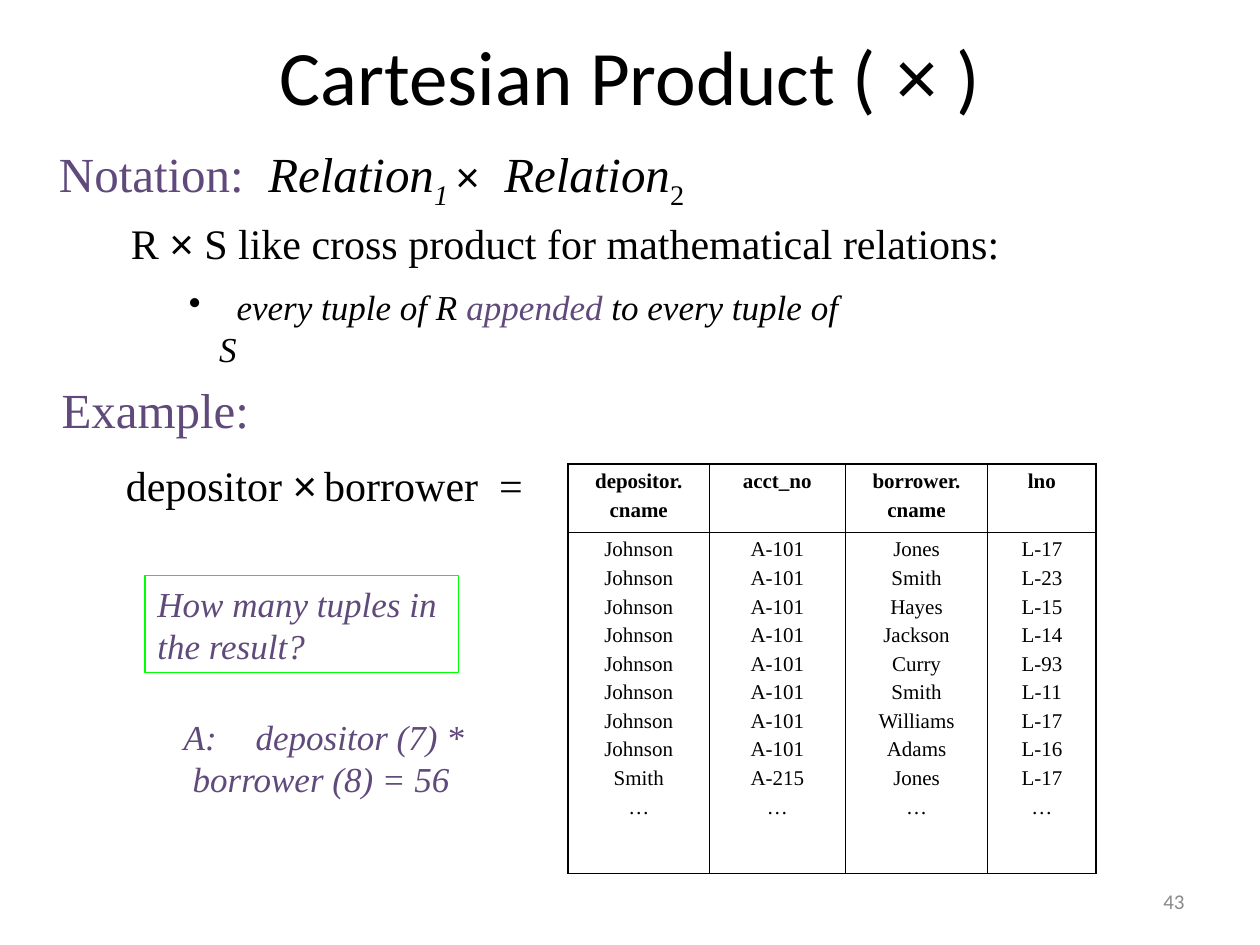
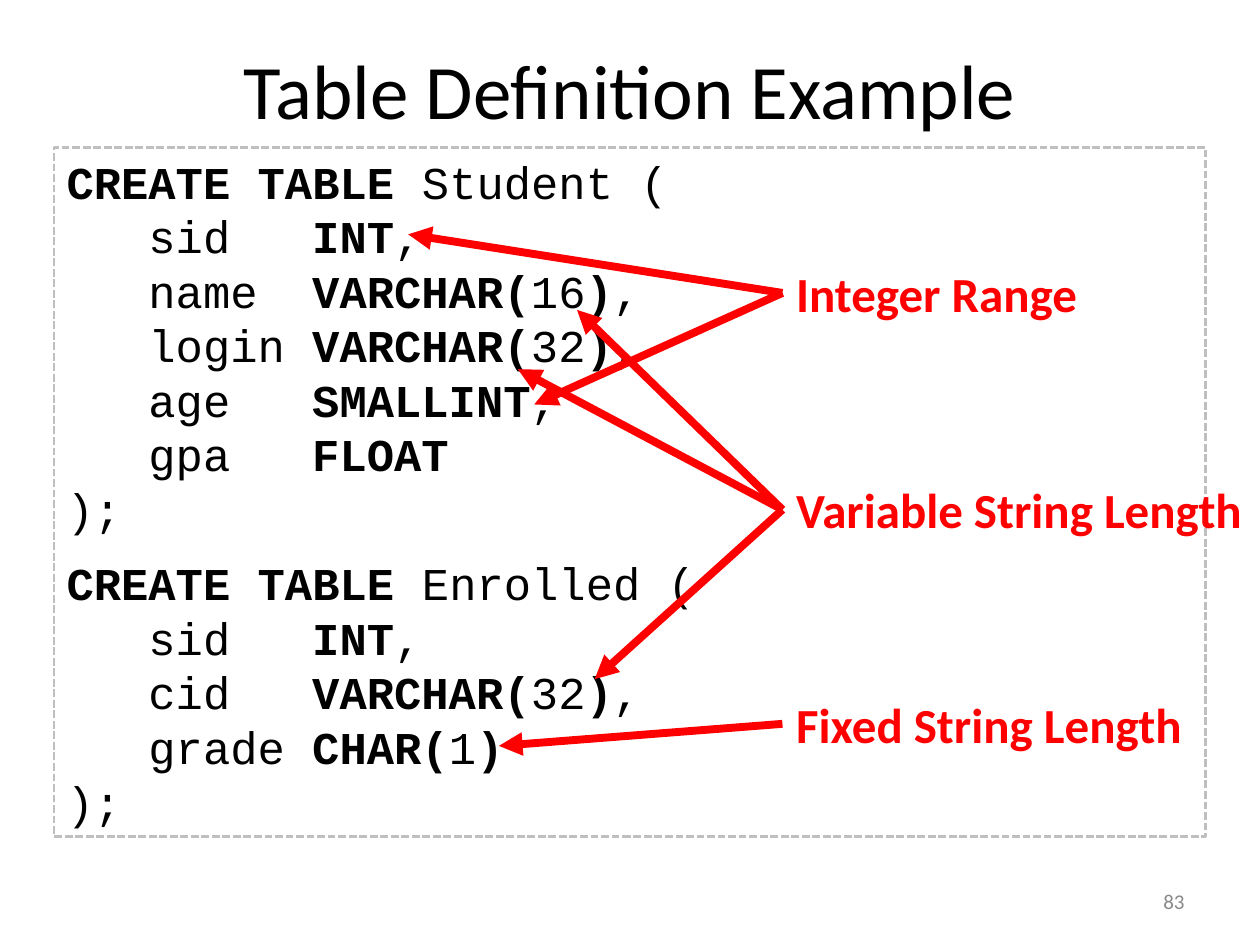
from lxml.etree import SubElement
from pptx import Presentation
from pptx.dml.color import RGBColor
from pptx.enum.dml import MSO_LINE
from pptx.enum.shapes import MSO_CONNECTOR, MSO_SHAPE
from pptx.enum.text import MSO_ANCHOR as ANCHOR, PP_ALIGN as ALIGN
from pptx.oxml.ns import qn
from pptx.util import Inches, Pt

BLACK, PURPLE, RED, GREEN = "000000", "604A7B", "FF0000", "00FF00"
DASH_GRAY, NUMBER_GRAY = "BFBFBF", "898989"
SERIF, SANS, SYMBOL, MONO = "Times New Roman", "Calibri", "Arial", "Courier New"
TITLE_ONLY = 5
TIMES = ("×", {"font": SYMBOL})
ITALIC = {"italic": True}

PRODUCT = {
    "title": ["Cartesian Product ( ", TIMES, " )"],
    "title_box": (0, 0.1, 10, 0.99),
    "number": "43",
}
PRODUCT_TEXTS = [
    ((0.37, 1.1, 5.27, 0.58),
     [("Notation:  ", {"color": PURPLE}), ("Relation", ITALIC),
      ("1 ", {"italic": True, "baseline": -25}), ("×", {"font": SYMBOL, "size": 24}),
      "  ", ("Relation", ITALIC), ("2", {"baseline": -25})],
     {"size": 28, "before": 7, "spacing": 0.9}),
    ((0.39, 2.96, 1.9, 0.59), ["Example:"],
     {"size": 28, "before": 7, "color": PURPLE}),
    ((0.94, 1.68, 8.06, 0.57),
     ["R ", TIMES, " S like cross product for mathematical relations:"],
     {"size": 24, "before": 6}),
    ((1.4, 2.22, 5.42, 0.44),
     ["  every tuple of R ", ("appended", {"color": PURPLE}), " to every tuple of S"],
     {"size": 20, "italic": True, "hanging": 0.24, "bullet": "•"}),
    ((0.9, 3.6, 3.5, 0.5),
     ["depositor ", TIMES, (" ", {"font": SANS, "size": 18}), "borrower  ="],
     {"size": 24}),
    ((1.36, 5.63, 2.49, 0.77), ["A:\tdepositor (7) * borrower (8) = 56"],
     {"size": 20, "italic": True, "color": PURPLE, "hanging": 0.07, "tabs": [0.47]}),
]
QUESTION = "How many tuples in the result?"
QUESTION_BOX = (1.15, 4.57, 2.49, 0.77)

TABLE_BOX = (4.51, 3.68, 4.19, 3.25)
ROW_HEIGHTS = (0.54, 2.71)
TABLE_COLUMNS = [
    (1.12, ["depositor.", "cname"], ["Johnson"] * 8 + ["Smith", "…"]),
    (1.08, ["acct_no"], ["A-101"] * 8 + ["A-215", "…"]),
    (1.13, ["borrower.", "cname"],
     ["Jones", "Smith", "Hayes", "Jackson", "Curry", "Smith", "Williams", "Adams", "Jones", "…"]),
    (0.86, ["lno"],
     ["L-17", "L-23", "L-15", "L-14", "L-93", "L-11", "L-17", "L-16", "L-17", "…"]),
]

DEFINITION = {
    "title": ["Table Definition Example"],
    "title_box": (0.5, 0.08, 9, 1.25),
    "number": "83",
}
CODE_BOX = (0.43, 1.17, 9.14, 5.47)
CODE_TABS = [0.65, 1.95]
STATEMENTS = [
    ["*CREATE TABLE* Student (", "\tsid\t*INT*,", "\tname\t*VARCHAR(*16*)*,",
     "\tlogin\t*VARCHAR(*32*)*,", "\tage\t*SMALLINT*,", "\tgpa\t*FLOAT*", ");"],
    ["*CREATE TABLE* Enrolled (", "\tsid\t*INT*,", "\tcid\t*VARCHAR(*32*)*,",
     "\tgrade\t*CHAR(*1*)*", ");"],
]
LABEL_LEFT, LABEL_HEIGHT, ARROW_START = 6.22, 0.57, 6.21
LABELS = [
    ("Integer Range", 2.04, 2.44, [(3.24, 1.86), (4.24, 3.21)]),
    ("Variable String Length", 3.76, 3.76, [(4.72, 5.39), (4.58, 2.46), (4.11, 2.93)]),
    ("Fixed String Length", 5.46, 3.27, [(3.96, 5.92)]),
]


def rgb(color):
    return RGBColor.from_string(color)


def box_of(box):
    return [Inches(length) for length in box]


def write(paragraph, runs, font=SERIF, size=20, color=BLACK, bold=False, italic=False,
          align=ALIGN.LEFT, before=0, spacing=None, hanging=0, bullet=None, tabs=()):
    paragraph.alignment = align
    paragraph.space_before = Pt(before)
    if spacing:
        paragraph.line_spacing = spacing
    properties = paragraph._p.get_or_add_pPr()
    if hanging:
        properties.set("marL", str(Inches(hanging)))
        properties.set("indent", str(-Inches(hanging)))
    if bullet:
        SubElement(properties, qn("a:buChar"), char=bullet)
    if tabs:
        tab_list = SubElement(properties, qn("a:tabLst"))
        for position in tabs:
            SubElement(tab_list, qn("a:tab"), pos=str(Inches(position)), algn="l")
    base = {"font": font, "size": size, "color": color, "bold": bold, "italic": italic}
    for item in runs:
        text, changes = (item, {}) if isinstance(item, str) else item
        style = {**base, **changes}
        run = paragraph.add_run()
        run.text = text
        run.font.name = style["font"]
        run.font.size = Pt(style["size"])
        run.font.bold = style["bold"]
        run.font.italic = style["italic"]
        run.font.color.rgb = rgb(style["color"])
        if "baseline" in style:
            run._r.get_or_add_rPr().set("baseline", str(style["baseline"] * 1000))


def next_paragraph(frame, index):
    return frame.add_paragraph() if index else frame.paragraphs[0]


def add_text(slide, box, runs, anchor=ANCHOR.TOP, **style):
    frame = slide.shapes.add_textbox(*box_of(box)).text_frame
    frame.word_wrap = True
    frame.vertical_anchor = anchor
    write(frame.paragraphs[0], runs, **style)


def add_frame(slide, box, color, width, dash=None):
    shape = slide.shapes.add_shape(MSO_SHAPE.RECTANGLE, *box_of(box))
    shape.shadow.inherit = False
    shape.fill.background()
    shape.line.color.rgb = rgb(color)
    shape.line.width = Pt(width)
    if dash:
        shape.line.dash_style = dash
    shape.text_frame.word_wrap = True
    shape.text_frame.vertical_anchor = ANCHOR.TOP
    return shape.text_frame


def add_arrow(slide, start, end):
    arrow = slide.shapes.add_connector(MSO_CONNECTOR.STRAIGHT, *box_of(start + end))
    arrow.line.color.rgb = rgb(RED)
    arrow.line.width = Pt(4.5)
    SubElement(arrow.line._get_or_add_ln(), qn("a:tailEnd"), type="triangle")
    SubElement(arrow._element.spPr, qn("a:effectLst"))


def set_borders(cell, widths):
    properties = cell._tc.get_or_add_tcPr()
    for side, width in zip("LRTB", widths):
        line = SubElement(properties, qn(f"a:ln{side}"), w=str(Pt(width)))
        fill = SubElement(line, qn("a:solidFill"))
        SubElement(fill, qn("a:srgbClr"), val=BLACK)


def add_product_table(slide):
    rows, columns = len(ROW_HEIGHTS), len(TABLE_COLUMNS)
    table = slide.shapes.add_table(rows, columns, *box_of(TABLE_BOX)).table
    table.horz_banding = False
    for row, height in zip(table.rows, ROW_HEIGHTS):
        row.height = Inches(height)
    for c, (width, *contents) in enumerate(TABLE_COLUMNS):
        table.columns[c].width = Inches(width)
        for r, lines in enumerate(contents):
            cell = table.cell(r, c)
            outer = (c == 0, c == columns - 1, r == 0, r == rows - 1)
            set_borders(cell, [1.08 if edge else 0.45 for edge in outer])
            cell.fill.background()
            for i, line in enumerate(lines):
                write(next_paragraph(cell.text_frame, i), [line], size=12,
                      bold=r == 0, align=ALIGN.CENTER, before=3)


def add_slide(presentation, content):
    slide = presentation.slides.add_slide(presentation.slide_layouts[TITLE_ONLY])
    title = slide.shapes.title
    title.left, title.top, title.width, title.height = box_of(content["title_box"])
    title.text_frame.vertical_anchor = ANCHOR.MIDDLE
    write(title.text_frame.paragraphs[0], content["title"], font=SANS, size=44,
          align=ALIGN.CENTER)
    add_text(slide, (7.17, 6.95, 2.33, 0.4), [content["number"]], anchor=ANCHOR.MIDDLE,
             font=SANS, size=12, color=NUMBER_GRAY, align=ALIGN.RIGHT)
    return slide


def build_product(presentation):
    slide = add_slide(presentation, PRODUCT)
    add_product_table(slide)
    for box, runs, style in PRODUCT_TEXTS:
        add_text(slide, box, runs, **style)
    question = add_frame(slide, QUESTION_BOX, GREEN, 0.75)
    write(question.paragraphs[0], [QUESTION], color=PURPLE, italic=True)


def build_definition(presentation):
    slide = add_slide(presentation, DEFINITION)
    code = add_frame(slide, CODE_BOX, DASH_GRAY, 1.5, MSO_LINE.SQUARE_DOT)
    for s, statement in enumerate(STATEMENTS):
        for i, line in enumerate(statement):
            runs = [(part, {"bold": k % 2 == 1})
                    for k, part in enumerate(line.split("*")) if part]
            write(next_paragraph(code, s + i), runs, font=MONO, size=26, tabs=CODE_TABS,
                  before=11.3 if s and i == 0 else 0)
    for text, top, width, targets in LABELS:
        add_text(slide, (LABEL_LEFT, top, width, LABEL_HEIGHT), [text],
                 font=SANS, size=28, color=RED, bold=True)
        for target in targets:
            add_arrow(slide, (ARROW_START, top + LABEL_HEIGHT / 2), target)


def main():
    presentation = Presentation()
    presentation.slide_width, presentation.slide_height = Inches(10), Inches(7.5)
    build_product(presentation)
    build_definition(presentation)
    presentation.save("out.pptx")


if __name__ == "__main__":
    main()
